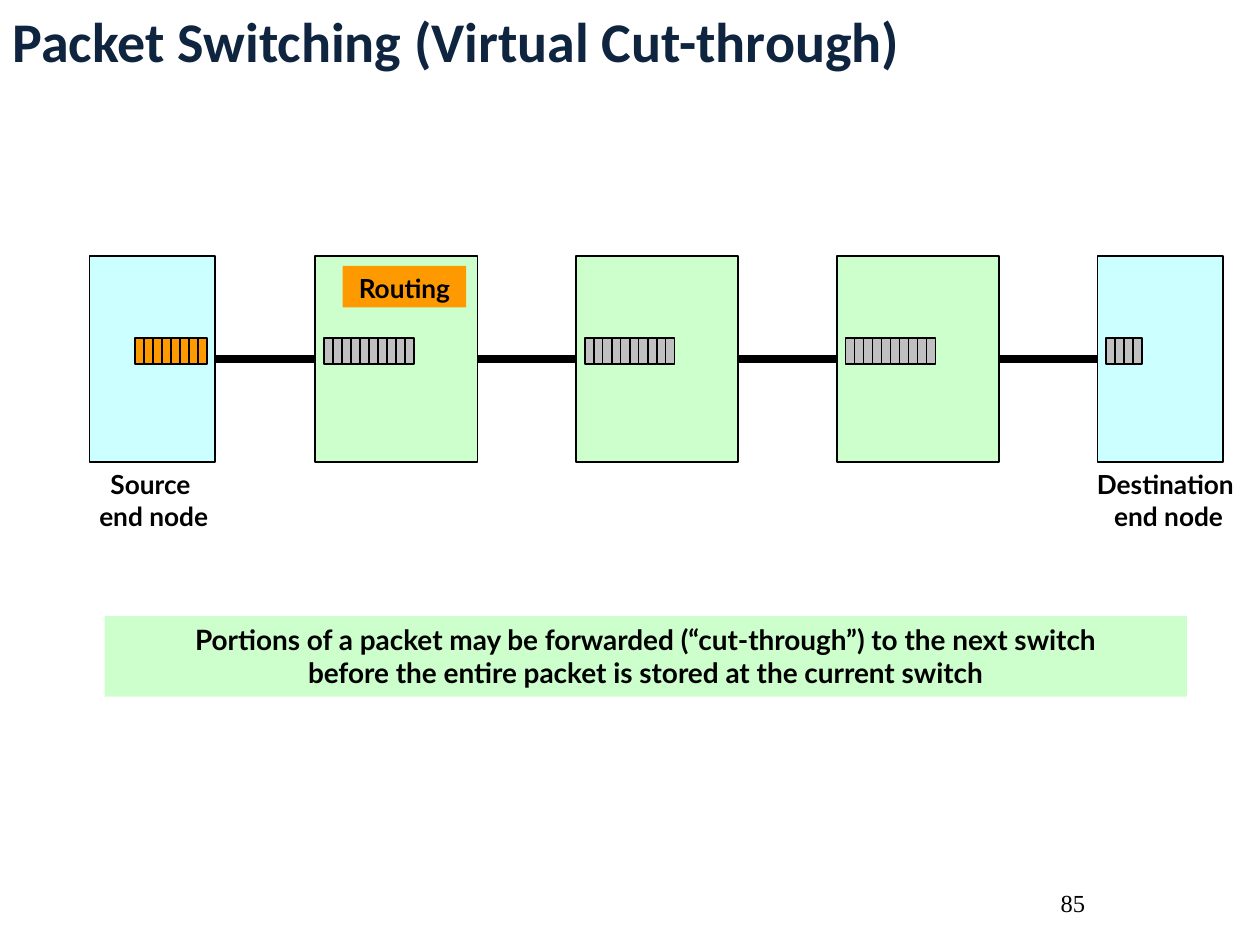
from dataclasses import dataclass

from lxml.etree import SubElement
from pptx import Presentation
from pptx.dml.color import RGBColor
from pptx.enum.shapes import MSO_CONNECTOR, MSO_SHAPE
from pptx.enum.text import MSO_ANCHOR, MSO_AUTO_SIZE, PP_ALIGN
from pptx.oxml.ns import qn
from pptx.util import Inches, Pt


@dataclass(frozen=True)
class Theme:
    navy: str = "0F243E"
    black: str = "000000"
    green: str = "CCFFCC"
    cyan: str = "CCFFFF"
    orange: str = "FF9900"
    gray: str = "C0C0C0"
    head: int = 32
    note: int = 16
    label: int = 15
    page: int = 14
    thin: float = 1
    thick: float = 4.5


THEME = Theme()
TOP, TALL = 2.03, 1.64
CELL = 1 / 14
PAD = 0.07


def apply(item, values):
    for name, value in values.items():
        setattr(item, name, value)


def write(shape, lines, size, face="Lato", color=THEME.black, bold=True,
          align=PP_ALIGN.CENTER, wrap=False):
    frame = shape.text_frame
    frame.text = "\n".join(lines)
    apply(frame, {
        "word_wrap": wrap,
        "auto_size": MSO_AUTO_SIZE.NONE if wrap else MSO_AUTO_SIZE.SHAPE_TO_FIT_TEXT,
        "vertical_anchor": MSO_ANCHOR.TOP,
        "margin_left": Inches(0.1), "margin_right": Inches(0.1),
        "margin_top": Inches(0.05), "margin_bottom": Inches(0.05),
    })
    for para in frame.paragraphs:
        para.alignment = align
        apply(para.font, {"name": face, "size": Pt(size), "bold": bold})
        para.font.color.rgb = RGBColor.from_string(color)


def add_rect(tree, box, fill, edge=True):
    shape = tree.add_shape(MSO_SHAPE.RECTANGLE, *map(Inches, box))
    shape.shadow.inherit = False
    shape.fill.solid()
    shape.fill.fore_color.rgb = RGBColor.from_string(fill)
    if edge:
        shape.line.color.rgb = RGBColor.from_string(THEME.black)
        shape.line.width = Pt(THEME.thin)
    else:
        shape.line.fill.background()
    return shape


def add_text(tree, box, lines, size, **style):
    write(tree.add_textbox(*map(Inches, box)), lines, size, **style)


def add_band(tree, box, lines, size, fill):
    write(add_rect(tree, box, fill, edge=False), lines, size)


def add_link(tree, left, right):
    link = tree.add_connector(MSO_CONNECTOR.STRAIGHT, 0, 0, 0, 0)
    link.begin_connect(left, 3)
    link.end_connect(right, 1)
    link.line.color.rgb = RGBColor.from_string(THEME.black)
    link.line.width = Pt(THEME.thick)
    SubElement(link._element.spPr, qn("a:effectLst"))


def add_queue(tree, left, count, fill):
    group = tree.add_group_shape()
    for i in range(count):
        add_rect(group.shapes, (left + i * CELL, 2.68, CELL, 0.21), fill)


def add_title(slide, text):
    title = slide.shapes.title
    box = {"left": 0, "top": 0, "width": 10, "height": 1.17}
    apply(title, {name: Inches(value) for name, value in box.items()})
    write(title, [text], THEME.head, face="Calibri", color=THEME.navy,
          align=PP_ALIGN.LEFT, wrap=True)


def add_path(tree):
    hops = [2.5 + 2.07 * i for i in range(4)]
    stops = [(0.71, 1, THEME.cyan)]
    stops += [(x, 1.29, THEME.green) for x in hops[:3]]
    stops += [(hops[3], 1, THEME.cyan)]
    nodes = [add_rect(tree, (x, TOP, wide, TALL), fill) for x, wide, fill in stops]
    for left, right in zip(nodes, nodes[1:]):
        add_link(tree, left, right)
    add_queue(tree, 1.07, 8, THEME.orange)
    for x, count in zip(hops, (10, 10, 10, 4)):
        add_queue(tree, x + PAD, count, THEME.gray)


def main():
    deck = Presentation()
    deck.slide_width, deck.slide_height = Inches(10), Inches(7.5)
    slide = deck.slides.add_slide(deck.slide_layouts[5])
    tree = slide.shapes
    add_title(slide, "Packet Switching (Virtual Cut-through)")
    add_path(tree)
    add_text(tree, (0.66, 3.67, 1.12, 0.58), ["Source ", "end node"], THEME.label)
    add_text(tree, (8.57, 3.67, 1.41, 0.58), ["Destination ", "end node"], THEME.label)
    add_band(tree, (2.72, 2.11, 0.98, 0.33), ["Routing"], THEME.label, THEME.orange)
    add_band(tree, (0.83, 4.89, 8.59, 0.64), [
        "Portions of a packet may be forwarded (“cut-through”) to the next switch",
        "before the entire packet is stored at the current switch",
    ], THEME.note, THEME.green)
    add_text(tree, (7.35, 7, 2.33, 0.4), ["85"], THEME.page,
             face="Times New Roman", bold=False, wrap=True)
    deck.save("out.pptx")


if __name__ == "__main__":
    main()
